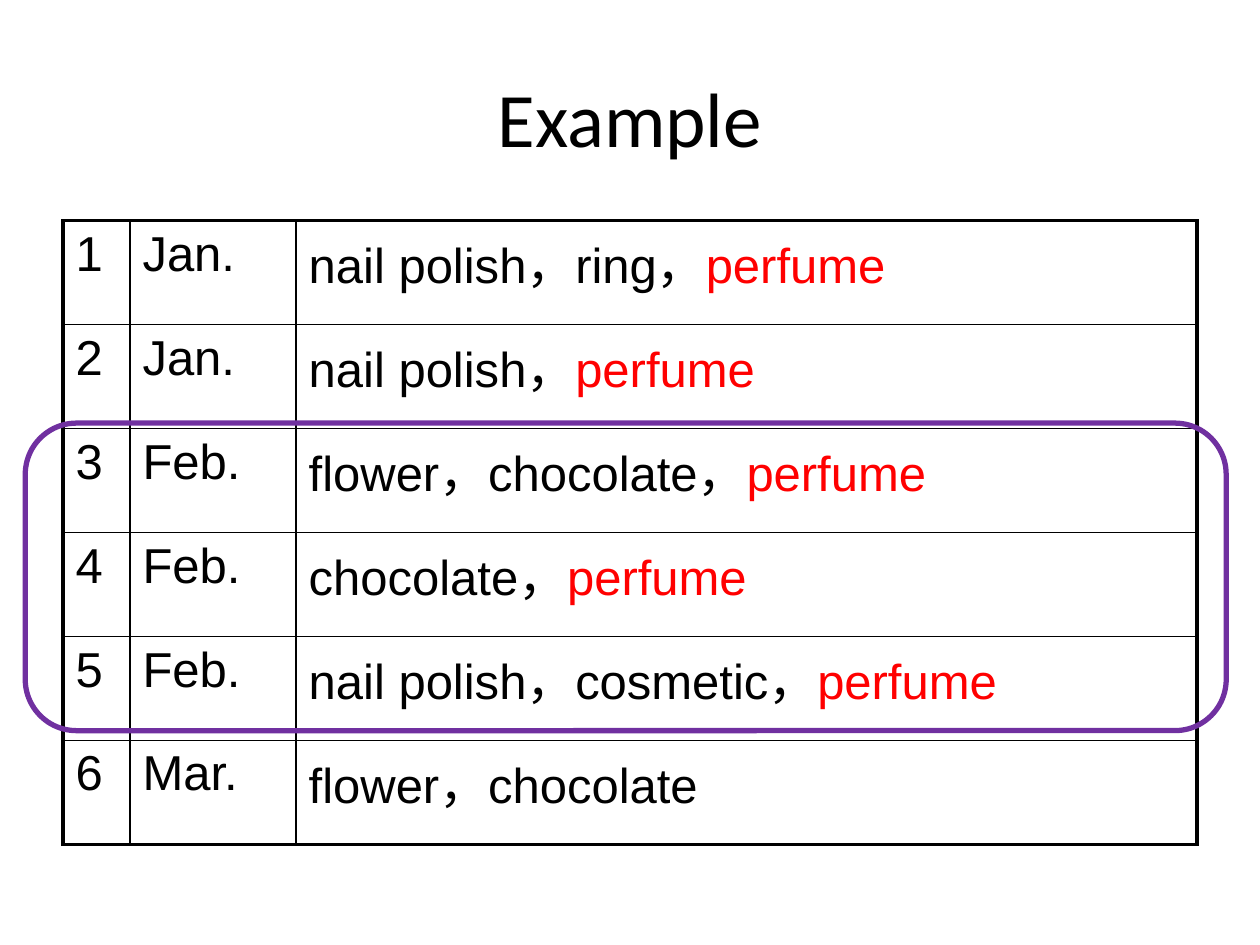
import lxml.etree
import pptx
import pptx.dml.color
import pptx.enum.shapes
import pptx.enum.text
import pptx.oxml.ns
import pptx.util
from pptx.util import Cm

BLACK, RED, PURPLE = "000000", "FF0000", "7030A0"
THIN, THICK = 1, 2.25
HIGHLIGHT = "perfume"
COLUMN_WIDTHS = [1.35, 3.35, 18.16]
TABLE_HEIGHT = 12.57
PURCHASES = [
    ("1", "Jan.", "nail polish，ring，perfume"),
    ("2", "Jan.", "nail polish，perfume"),
    ("3", "Feb.", "flower，chocolate，perfume"),
    ("4", "Feb.", "chocolate，perfume"),
    ("5", "Feb.", "nail polish，cosmetic，perfume"),
    ("6", "Mar.", "flower，chocolate"),
]


def color(value):
    return pptx.dml.color.RGBColor.from_string(value)


def set_font(font, name, size):
    font.name = name
    font.size = pptx.util.Pt(size)
    font.color.rgb = color(BLACK)


def add_title(slide, text):
    box = slide.shapes.add_textbox(Cm(1.27), Cm(0.76), Cm(22.86), Cm(3.18))
    frame = box.text_frame
    frame.word_wrap = True
    frame.vertical_anchor = pptx.enum.text.MSO_ANCHOR.MIDDLE
    paragraph = frame.paragraphs[0]
    paragraph.text = text
    paragraph.alignment = pptx.enum.text.PP_ALIGN.CENTER
    set_font(paragraph.font, "Calibri", 44)


def set_borders(cell, widths):
    """Draw solid black borders; widths maps a side (L, R, T, B) to points."""
    properties = cell._tc.get_or_add_tcPr()
    qn = pptx.oxml.ns.qn
    for side, width in widths.items():
        line = lxml.etree.SubElement(properties, qn(f"a:ln{side}"))
        line.set("w", str(pptx.util.Pt(width)))
        fill = lxml.etree.SubElement(line, qn("a:solidFill"))
        lxml.etree.SubElement(fill, qn("a:srgbClr")).set("val", BLACK)


def fill_cell(cell, text):
    """Write the text, with the highlighted item in red."""
    paragraph = cell.text_frame.paragraphs[0]
    set_font(paragraph.font, "Arial", 28)
    plain, highlight, _ = text.partition(HIGHLIGHT)
    paragraph.add_run().text = plain
    if highlight:
        run = paragraph.add_run()
        run.text = highlight
        run.font.color.rgb = color(RED)


def add_purchase_table(slide):
    row_count, column_count = len(PURCHASES), len(COLUMN_WIDTHS)
    table = slide.shapes.add_table(
        row_count, column_count, Cm(1.27), Cm(4.45),
        Cm(sum(COLUMN_WIDTHS)), Cm(TABLE_HEIGHT),
    ).table
    table.first_row = table.horz_banding = False
    for column, width in zip(table.columns, COLUMN_WIDTHS):
        column.width = Cm(width)
    for i, purchase in enumerate(PURCHASES):
        for j, text in enumerate(purchase):
            cell = table.cell(i, j)
            fill_cell(cell, text)
            set_borders(cell, {
                "L": THICK if j == 0 else THIN,
                "R": THICK if j == column_count - 1 else THIN,
                "T": THICK if i == 0 else THIN,
                "B": THICK if i == row_count - 1 else THIN,
            })
            cell.fill.background()


def add_highlight_frame(slide):
    shape = slide.shapes.add_shape(
        pptx.enum.shapes.MSO_SHAPE.ROUNDED_RECTANGLE,
        Cm(0.51), Cm(8.53), Cm(24.21), Cm(6.2),
    )
    shape.shadow.inherit = False
    shape.fill.background()
    shape.line.color.rgb = color(PURPLE)
    shape.line.width = pptx.util.Pt(3)


def main():
    presentation = pptx.Presentation()
    presentation.slide_width = Cm(25.4)
    presentation.slide_height = Cm(19.05)
    slide = presentation.slides.add_slide(presentation.slide_layouts[6])
    add_title(slide, "Example")
    add_purchase_table(slide)
    add_highlight_frame(slide)
    presentation.save("out.pptx")


if __name__ == "__main__":
    main()
